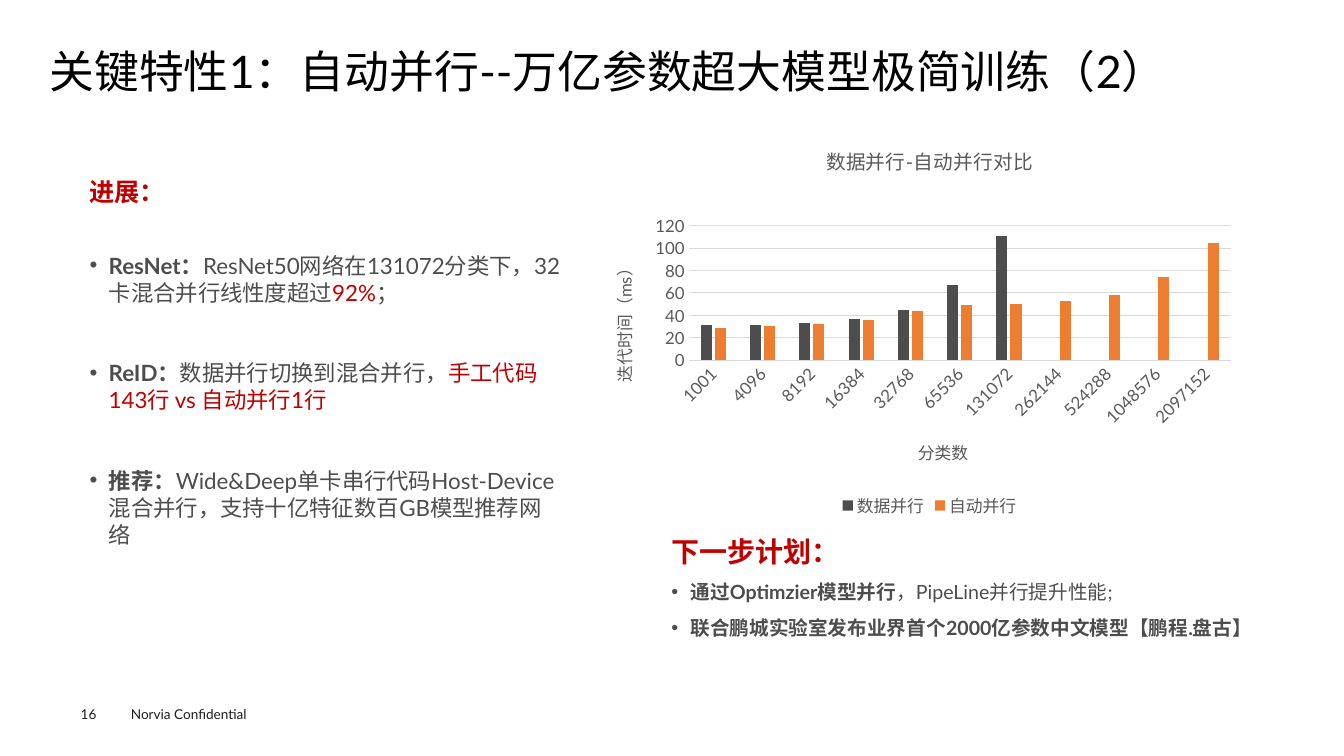
import pptx
import pptx.util
import pptx.chart.data
import pptx.dml.color
import pptx.enum.chart
import pptx.oxml
import pptx.oxml.ns
from lxml import etree

Inches, Pt = pptx.util.Inches, pptx.util.Pt
qn = pptx.oxml.ns.qn
enum = pptx.enum.chart

theme = {
    "latin": "Lato", "asian": "Noto Sans CJK SC",
    "black": "000000", "ink": "1D1D1B", "text": "4D4D4D", "red": "C00000",
    "axis": "595959", "grid": "D9D9D9", "orange": "ED7D31",
    "title": 32, "head": 18, "body": 16, "plan": 20, "item": 14,
    "chart": 14, "label": 12, "foot": 9.7,
}


def style(font, size, color, bold=False):
    """Set size, colour, weight and both typefaces of a font."""
    form = {"name": theme["latin"], "size": Pt(theme[size]), "bold": bold}
    for key, val in form.items():
        setattr(font, key, val)
    font.color.rgb = pptx.dml.color.RGBColor.from_string(theme[color])
    latin = font._element.find(qn("a:latin"))
    east = etree.Element(qn("a:ea"), typeface=theme["asian"])
    latin.addnext(east)


def write(place, paras, inset=True):
    """Add a text box; each paragraph is (format, bullet, size, runs)."""
    frame = slide.shapes.add_textbox(*map(Inches, place)).text_frame
    frame.word_wrap = True
    if not inset:
        for side in ("left", "top", "right", "bottom"):
            setattr(frame, "margin_" + side, 0)
    for num, (form, bullet, size, runs) in enumerate(paras):
        para = frame.add_paragraph() if num else frame.paragraphs[0]
        for key, val in form.items():
            setattr(para, key, val)
        if bullet:
            props = para._p.get_or_add_pPr()
            props.set("marL", str(Inches(0.19)))
            props.set("indent", str(-Inches(0.19)))
            etree.SubElement(props, qn("a:buFont"), typeface="Arial")
            etree.SubElement(props, qn("a:buChar"), char="•")
        for text, color, bold in runs:
            run = para.add_run()
            run.text = text
            style(run.font, size, color, bold)


deck = pptx.Presentation()
deck.slide_width, deck.slide_height = Inches(13.33), Inches(7.5)
slide = deck.slides.add_slide(deck.slide_layouts[6])

# Title and footer
write((0.49, 0.49, 12.35, 0.54), [
    ({"line_spacing": 0.9}, False, "title",
     [("关键特性1：自动并行--万亿参数超大模型极简训练（2）", "black", False)]),
], inset=False)
write((0.8, 7, 0.35, 0.16), [({}, False, "foot", [("16", "ink", False)])], inset=False)
write((1.2, 6.95, 1.6, 0.27), [({}, False, "foot", [("Norvia Confidential", "ink", False)])])

# Progress
wide = {"line_spacing": 1.5}
gap = {"space_before": Pt(38.4)}
write((0.79, 1.55, 4.9, 3.7), [
    (wide, False, "head", [("进展：", "red", True)]),
    ({"space_before": Pt(32.4)}, True, "body", [
        ("ResNet：", "text", True),
        ("ResNet50网络在131072分类下，32卡混合并行线性度超过", "text", False),
        ("92%", "red", False),
        ("；", "text", False)]),
    (gap, True, "body", [
        ("ReID：", "text", True),
        ("数据并行切换到混合并行，", "text", False),
        ("手工代码143行 vs 自动并行1行", "red", False)]),
    (gap, True, "body", [
        ("推荐：", "text", True),
        ("Wide&Deep单卡串行代码Host-Device混合并行，支持十亿特征数百GB模型推荐网络",
         "text", False)]),
])

# Chart of iteration time by class count
data = pptx.chart.data.CategoryChartData()
data.categories = ["1001", "4096", "8192", "16384", "32768", "65536", "131072",
                   "262144", "524288", "1048576", "2097152"]
data.add_series("数据并行", [31, 31, 33, 37, 45, 67, 111] + [None] * 4)
data.add_series("自动并行", [29, 30, 32, 36, 44, 49, 50, 53, 58, 74, 105])
place = map(Inches, (5.9, 1.26, 6.64, 3.92))
chart = slide.shapes.add_chart(enum.XL_CHART_TYPE.COLUMN_CLUSTERED, *place, data).chart
style(chart.font, "label", "axis")

plot = chart.plots[0]
for key, val in {"gap_width": 219, "overlap": -27, "vary_by_categories": False}.items():
    setattr(plot, key, val)
for bar, color in zip(plot.series, ("text", "orange")):
    bar.format.fill.solid()
    bar.format.fill.fore_color.rgb = pptx.dml.color.RGBColor.from_string(theme[color])

cats, vals = chart.category_axis, chart.value_axis
for part, text, size in ((chart, "数据并行-自动并行对比", "chart"),
                         (cats, "分类数", "label"),
                         (vals, "迭代时间（ms）", "label")):
    head = part.chart_title if part is chart else part.axis_title
    head.text_frame.text = text
    style(head.text_frame.paragraphs[0].runs[0].font, size, "axis")
vals.axis_title.text_frame._txBody.find(qn("a:bodyPr")).set("rot", "-5400000")

for axis in (cats, vals):
    axis.major_tick_mark = axis.minor_tick_mark = enum.XL_TICK_MARK.NONE
    style(axis.tick_labels.font, "label", "axis")
cats._element.find(qn("c:txPr")).find(qn("a:bodyPr")).set("rot", "-2700000")
for key, val in {"minimum_scale": 0, "maximum_scale": 120, "major_unit": 20}.items():
    setattr(vals, key, val)
vals.format.line.fill.background()
for line in (cats.format.line, vals.major_gridlines.format.line):
    line.color.rgb = pptx.dml.color.RGBColor.from_string(theme["grid"])
    line.width = Pt(0.75)

chart.has_legend = True
chart.legend.position = enum.XL_LEGEND_POSITION.BOTTOM
chart.legend.include_in_layout = False
style(chart.legend.font, "label", "axis")

area = chart._chartSpace.find(".//" + qn("c:plotArea"))
for old in area.findall(qn("c:layout")):
    area.remove(old)
layout = etree.Element(qn("c:layout"))
area.insert(0, layout)
manual = etree.SubElement(layout, qn("c:manualLayout"))
for key, val in {"layoutTarget": "inner", "xMode": "edge", "yMode": "edge",
                 "x": 0.14, "y": 0.25, "w": 0.81, "h": 0.34}.items():
    etree.SubElement(manual, qn("c:" + key), val=str(val))

# Next steps
write((6.56, 5.09, 5.99, 1.31), [
    (wide, False, "plan", [("下一步计划：", "red", True)]),
    (wide, True, "item", [
        ("通过Optimzier模型并行", "text", True),
        ("，PipeLine并行提升性能;", "text", False)]),
    (wide, True, "item", [
        ("联合鹏城实验室发布业界首个2000亿参数中文模型【鹏程.盘古】", "text", True)]),
])

deck.save("out.pptx")
